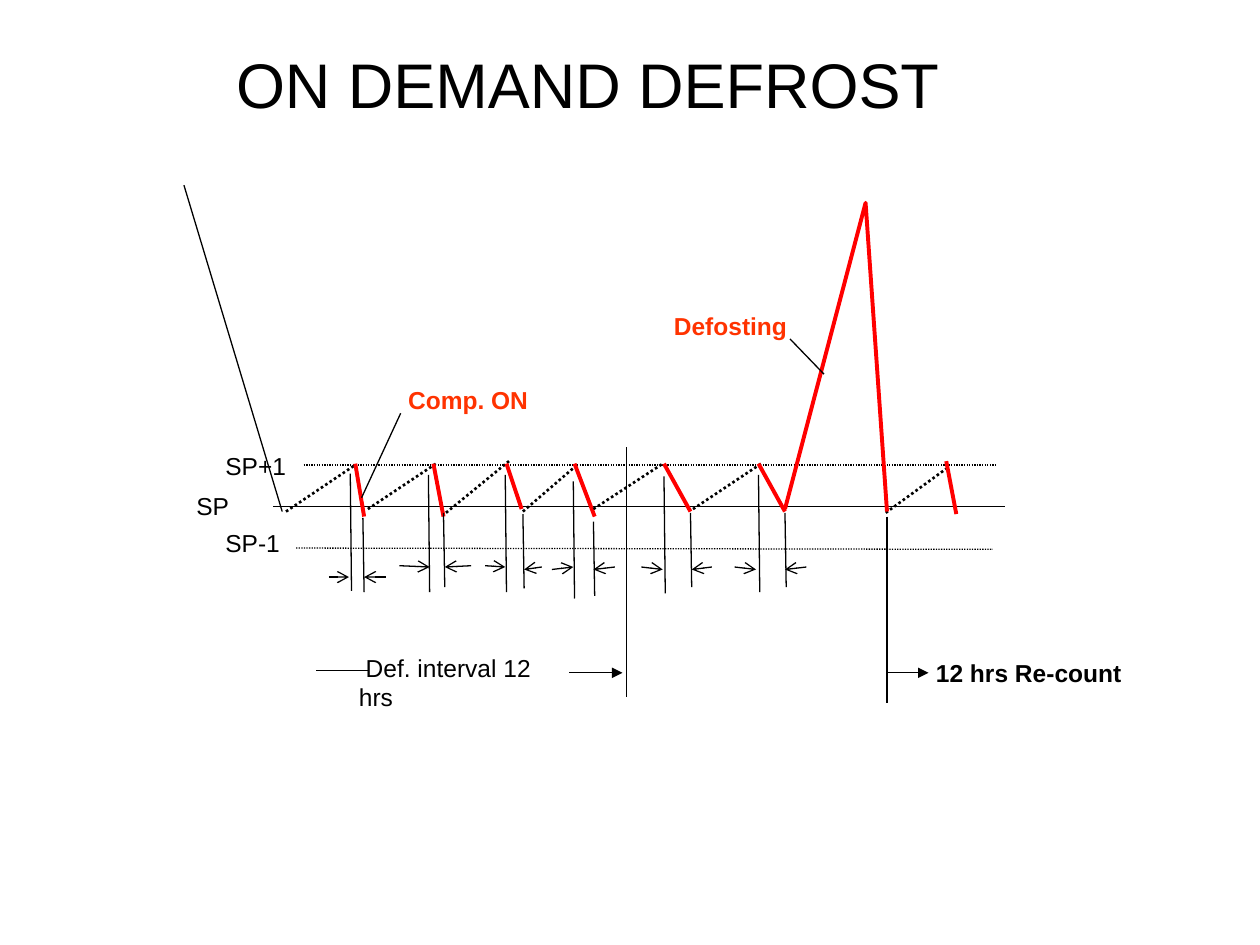
from dataclasses import dataclass
from typing import Optional

from lxml import etree
from pptx import Presentation
from pptx.dml.color import RGBColor
from pptx.enum.dml import MSO_LINE
from pptx.enum.shapes import MSO_CONNECTOR
from pptx.enum.text import MSO_ANCHOR, PP_ALIGN
from pptx.oxml.ns import qn
from pptx.util import Inches, Pt

STRAIGHT = MSO_CONNECTOR.STRAIGHT
DOTTED = MSO_LINE.ROUND_DOT
MIDDLE = MSO_ANCHOR.MIDDLE
TOP = MSO_ANCHOR.TOP
CENTER = PP_ALIGN.CENTER
LEFT = PP_ALIGN.LEFT

FONT = "Arial"
BLACK = "000000"
RED = "FF0000"
ORANGE = "FF3300"
MARK_LEAN = 0.01
ON_MARK_LENGTH = 0.93
OFF_MARK_LENGTH = 0.59

Point = tuple[float, float]
Segment = tuple[float, float, float, float]


@dataclass
class Cycle:
    rise: Segment
    drop: Segment
    on_mark: Optional[Point] = None
    off_mark: Optional[Point] = None
    on_arrow: Optional[Segment] = None
    off_arrow: Optional[Segment] = None


@dataclass
class Line:
    segment: Segment
    dotted: bool = False
    head: Optional[str] = None


@dataclass
class Label:
    text: str
    box: Segment
    color: str = BLACK
    bold: bool = False


CYCLES = [
    Cycle((2.27, 4.06, 2.82, 3.69), (2.82, 3.68, 2.89, 4.1), (2.78, 3.76), (2.88, 4.11),
          (2.61, 4.58, 2.77, 4.58), (3.06, 4.58, 2.89, 4.58)),
    Cycle((2.92, 4.04, 3.46, 3.68), (3.44, 3.68, 3.52, 4.1), (3.4, 3.77), (3.52, 4.07),
          (3.17, 4.49, 3.41, 4.5), (3.74, 4.49, 3.53, 4.5)),
    Cycle((3.54, 4.07, 4.04, 3.66), (4.02, 3.68, 4.14, 4.04), (4.01, 3.77), (4.15, 4.08),
          (3.85, 4.49, 4.01, 4.5), (4.3, 4.5, 4.16, 4.52)),
    Cycle((4.15, 4.06, 4.58, 3.69), (4.56, 3.68, 4.72, 4.1), (4.55, 3.82), (4.71, 4.14),
          (4.38, 4.52, 4.55, 4.5), (4.88, 4.5, 4.71, 4.52)),
    Cycle((4.71, 4.04, 5.26, 3.68), (5.27, 3.68, 5.48, 4.06), (5.27, 3.78), (5.48, 4.07),
          (5.09, 4.5, 5.26, 4.52), (5.65, 4.5, 5.49, 4.52)),
    Cycle((5.5, 4.04, 6.04, 3.68), (6.02, 3.68, 6.23, 4.06), (6.02, 3.77), (6.23, 4.07),
          (5.83, 4.5, 6, 4.52), (6.4, 4.5, 6.23, 4.52)),
    Cycle((7.03, 4.07, 7.51, 3.72), (7.51, 3.66, 7.59, 4.08)),
]

LEVELS = [
    Line((2.17, 4.02, 7.98, 4.02)),
    Line((2.41, 3.69, 7.91, 3.69), dotted=True),
    Line((2.35, 4.35, 7.88, 4.36), dotted=True),
]

ANNOTATIONS = [
    Line((2.87, 3.95, 3.18, 3.28)),
    Line((6.27, 2.69, 6.54, 2.97)),
    Line((4.97, 3.55, 4.97, 5.53)),
    Line((7.04, 4.1, 7.04, 5.58)),
    Line((2.93, 5.32, 2.51, 5.32)),
    Line((4.52, 5.34, 4.94, 5.34), head="triangle"),
    Line((7.04, 5.34, 7.37, 5.34), head="triangle"),
    Line((1.46, 1.47, 2.24, 4.06)),
]

DEFROST_PEAK = [(6.23, 4.04), (6.87, 1.61), (7.04, 4.06)]

LABELS = [
    Label("Comp. ON", (3.14, 3.01, 1.19, 0.38), ORANGE, True),
    Label("SP", (1.46, 3.85, 0.71, 0.38)),
    Label("Defosting", (5.25, 2.42, 1.17, 0.56), ORANGE, True),
    Label(" Def. interval 12 hrs", (2.75, 5.13, 1.88, 0.38)),
    Label("12 hrs Re-count", (7.33, 5.17, 1.83, 0.52), BLACK, True),
    Label("SP+1", (1.69, 3.53, 0.74, 0.38)),
    Label("SP-1", (1.69, 4.14, 0.74, 0.38)),
]


def rgb(value: str) -> RGBColor:
    return RGBColor.from_string(value)


def draw_line(slide, segment: Segment, color: str = BLACK, width: float = 0.75,
              dotted: bool = False, head: Optional[str] = None) -> None:
    connector = slide.shapes.add_connector(STRAIGHT, *(Inches(value) for value in segment))
    connector.line.color.rgb = rgb(color)
    connector.line.width = Pt(width)
    if dotted:
        connector.line.dash_style = DOTTED
    properties = connector._element.spPr
    if head:
        etree.SubElement(properties.find(qn("a:ln")), qn("a:tailEnd"), type=head)
    etree.SubElement(properties, qn("a:effectLst"))


def draw_cycle(slide, cycle: Cycle) -> None:
    draw_line(slide, cycle.rise, width=1.5, dotted=True)
    draw_line(slide, cycle.drop, RED, 2.25)
    for mark, length in ((cycle.on_mark, ON_MARK_LENGTH), (cycle.off_mark, OFF_MARK_LENGTH)):
        if mark:
            x, y = mark
            draw_line(slide, (x, y, x + MARK_LEAN, y + length))
    for arrow in (cycle.on_arrow, cycle.off_arrow):
        if arrow:
            draw_line(slide, arrow, head="arrow")


def draw_peak(slide, points: list[Point]) -> None:
    start, *others = [(Inches(x), Inches(y)) for x, y in points]
    builder = slide.shapes.build_freeform(*start)
    builder.add_line_segments(others, close=False)
    shape = builder.convert_to_shape()
    shape.shadow.inherit = False
    shape.fill.background()
    shape.line.color.rgb = rgb(RED)
    shape.line.width = Pt(2.25)


def write_text(shape, text: str, size: float, color: str, bold: bool, alignment, anchor) -> None:
    frame = shape.text_frame
    frame.text = text
    frame.word_wrap = True
    frame.vertical_anchor = anchor
    paragraph = frame.paragraphs[0]
    paragraph.alignment = alignment
    font = paragraph.runs[0].font
    font.name = FONT
    font.size = Pt(size)
    font.bold = bold
    font.color.rgb = rgb(color)


def draw_label(slide, label: Label) -> None:
    shape = slide.shapes.add_textbox(*(Inches(value) for value in label.box))
    write_text(shape, label.text, 14, label.color, label.bold, LEFT, TOP)


def main() -> None:
    presentation = Presentation()
    presentation.slide_width = Inches(10)
    presentation.slide_height = Inches(7.5)
    slide = presentation.slides.add_slide(presentation.slide_layouts[5])

    title = slide.shapes.title
    title.left, title.top = Inches(1.58), Inches(0.25)
    title.width, title.height = Inches(6.17), Inches(0.83)
    write_text(title, "ON DEMAND DEFROST", 36, BLACK, False, CENTER, MIDDLE)

    for line in LEVELS:
        draw_line(slide, line.segment, dotted=line.dotted)
    for cycle in CYCLES:
        draw_cycle(slide, cycle)
    draw_peak(slide, DEFROST_PEAK)
    for line in ANNOTATIONS:
        draw_line(slide, line.segment, head=line.head)
    for label in LABELS:
        draw_label(slide, label)

    presentation.save("out.pptx")


if __name__ == "__main__":
    main()
